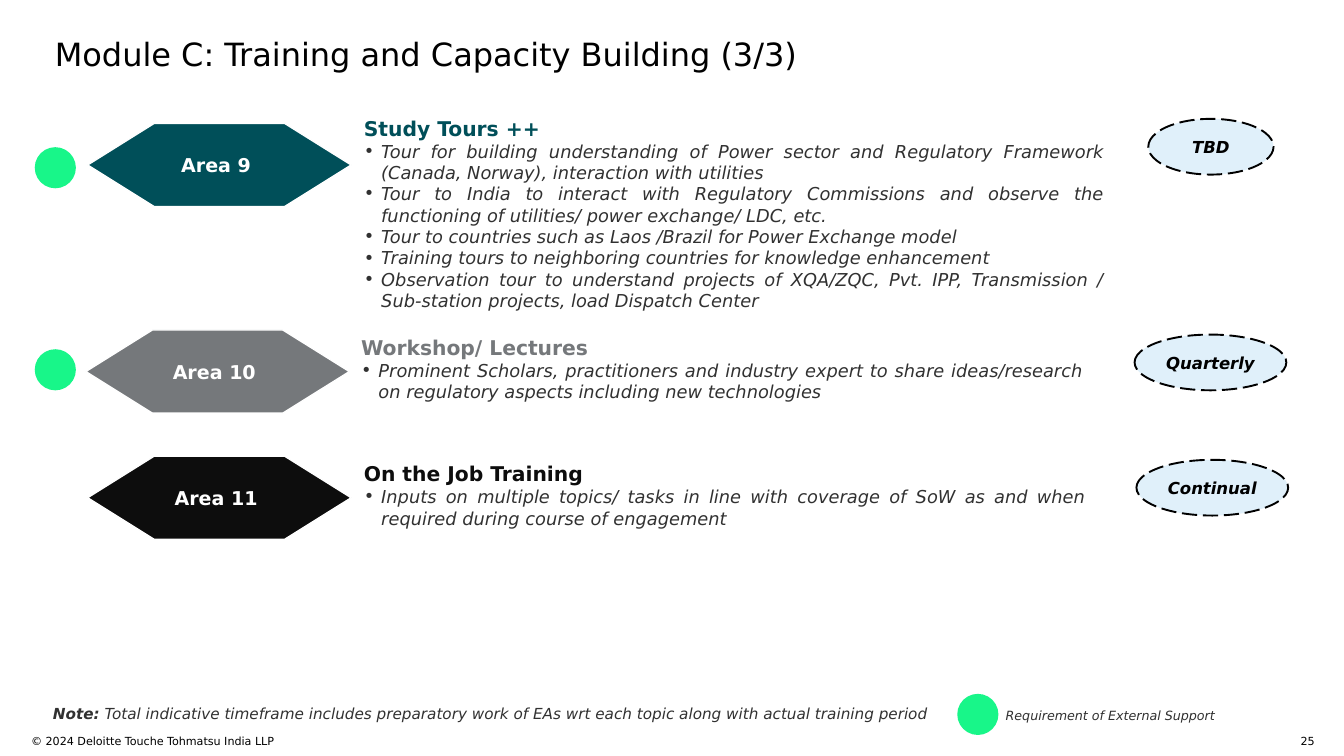
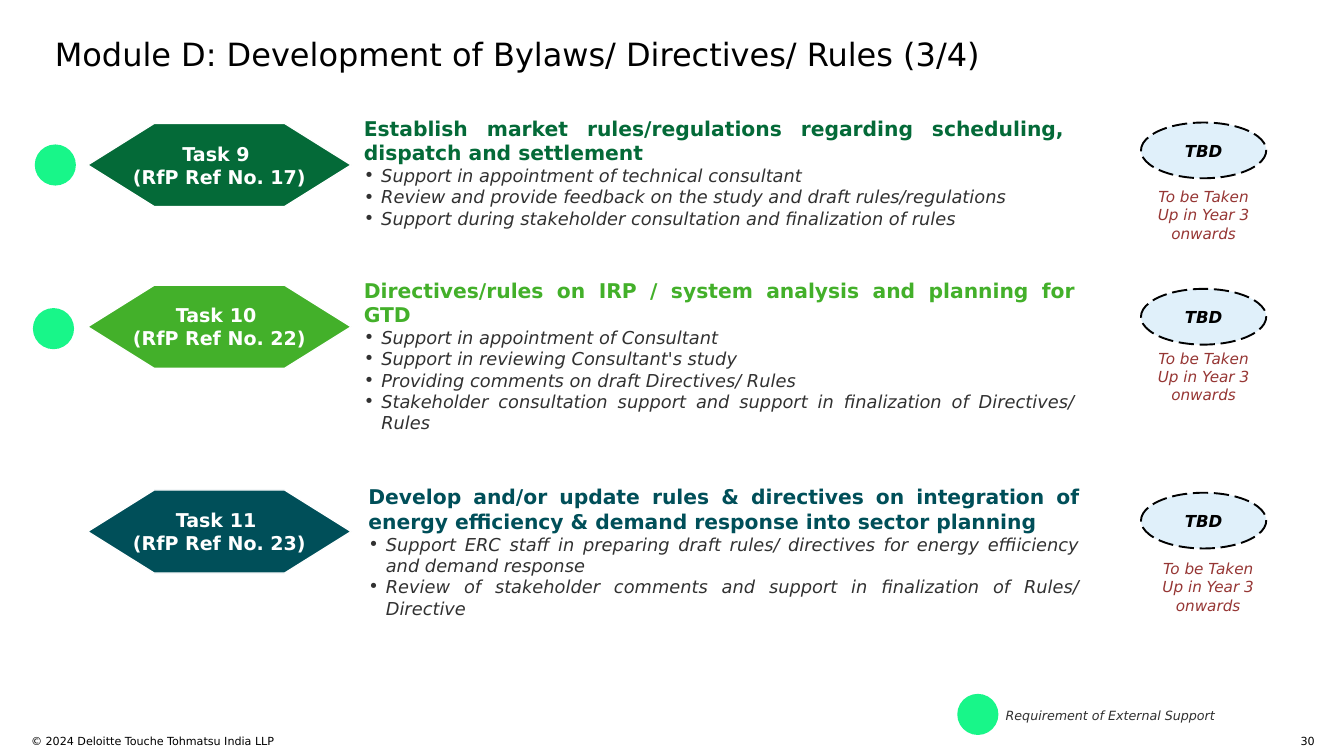
from dataclasses import dataclass

from lxml.etree import SubElement
from pptx import Presentation
from pptx.dml.color import RGBColor
from pptx.enum.dml import MSO_LINE
from pptx.enum.shapes import MSO_SHAPE
from pptx.enum.text import MSO_ANCHOR, PP_ALIGN
from pptx.oxml.ns import qn
from pptx.util import Inches, Pt


@dataclass(frozen=True)
class Theme:
    font: str = "DejaVu Sans"
    black: str = "000000"
    white: str = "FFFFFF"
    ink: str = "313131"
    teal: str = "004F59"
    gray: str = "75787B"
    near_black: str = "0D0D0D"
    forest: str = "046A38"
    green: str = "43B02A"
    support: str = "18F689"
    badge: str = "E0F0FA"
    warning: str = "963634"
    title_size: float = 25.2
    heading_size: float = 16
    label_size: float = 15
    body_size: float = 14
    badge_size: float = 13
    note_size: float = 12
    legend_size: float = 10
    footer_size: float = 8.8


THEME = Theme()
HEXAGON_SIZE = (2.88, 0.91)
HEXAGON_POINT = 0.8
BADGE_HEIGHT = 0.61
DOT_SIZE = 0.45
DEFERRAL_SIZE = (1.37, 0.71)
DEFERRAL = "To be Taken Up in Year 3 onwards"


@dataclass(frozen=True)
class Topic:
    """One row; places are (left, top) or (left, top, width[, height]) in inches."""
    label: tuple
    color: str
    hexagon: tuple
    heading: str
    points: tuple
    body: tuple
    badge: str
    badge_place: tuple
    support_dot: tuple = None
    deferral: tuple = None


TRAINING = (
    Topic(("Area 9 ",), THEME.teal, (0.96, 1.35), "Study Tours ++",
          ("Tour for building understanding of Power sector and Regulatory Framework "
           "(Canada, Norway), interaction with utilities",
           "Tour to India to interact with Regulatory Commissions and observe the "
           "functioning of utilities/ power exchange/ LDC, etc.",
           "Tour to countries such as Laos /Brazil for Power Exchange model",
           "Training tours to neighboring countries for knowledge enhancement",
           "Observation tour to understand projects of XQA/ZQC, Pvt. IPP, "
           "Transmission / Sub-station projects, load Dispatch Center"),
          (3.98, 1.27, 8.1, 2.15), "TBD", (12.56, 1.3, 1.37), (0.38, 1.61)),
    Topic(("Area 10 ",), THEME.gray, (0.94, 3.61), "Workshop/ Lectures",
          ("Prominent Scholars, practitioners and industry expert to share "
           "ideas/research on regulatory aspects including new technologies",),
          (3.95, 3.67, 7.9, 0.74), "Quarterly", (12.41, 3.66, 1.66), (0.38, 3.82)),
    Topic(("Area 11 ",), THEME.near_black, (0.96, 4.99), "On the Job Training",
          ("Inputs on multiple topics/ tasks in line with coverage of SoW as and "
           "when required during course of engagement",),
          (3.98, 5.05, 7.9, 0.74), "Continual", (12.43, 5.03, 1.66)),
)

BYLAWS = (
    Topic(("Task 9 ", "(RfP Ref No. 17)"), THEME.forest, (0.96, 1.35),
          "Establish market rules/regulations regarding scheduling, "
          "dispatch and settlement",
          ("Support in appointment of technical consultant",
           "Review and provide feedback on the study and draft rules/regulations",
           "Support during stakeholder consultation and finalization of rules"),
          (3.98, 1.27, 7.66, 1.25), "TBD", (12.48, 1.34, 1.37), (0.38, 1.58),
          (12.48, 2)),
    Topic(("Task 10 ", "(RfP Ref No. 22)"), THEME.green, (0.96, 3.12),
          "Directives/rules on IRP / system analysis and planning for GTD",
          ("Support in appointment of Consultant",
           "Support in reviewing Consultant's study",
           "Providing comments on draft Directives/ Rules",
           "Stakeholder consultation support and support in finalization of "
           "Directives/ Rules"),
          (3.98, 3.04, 7.78, 1.72), "TBD", (12.48, 3.16, 1.37), (0.36, 3.37),
          (12.48, 3.77)),
    Topic(("Task 11 ", "(RfP Ref No. 23)"), THEME.teal, (0.96, 5.36),
          "Develop and/or update rules & directives on integration of energy "
          "efficiency & demand response into sector planning",
          ("Support ERC staff in preparing draft rules/ directives for energy "
           "effiiciency and demand response",
           "Review of stakeholder comments and support in finalization of Rules/ "
           "Directive"),
          (4.03, 5.3, 7.78, 1.48), "TBD", (12.48, 5.39, 1.37),
          deferral=(12.53, 6.07)),
)


def add_run(paragraph, text, size, color, bold=False, italic=False):
    run = paragraph.add_run()
    run.text = text
    font = run.font
    font.name, font.size = THEME.font, Pt(size)
    font.bold, font.italic = bold, italic
    font.color.rgb = RGBColor.from_string(color)


def write(frame, text, *, size, color=THEME.black, bold=False, italic=False,
          align=PP_ALIGN.LEFT, bullet=False, spacing=None, lead=None):
    """Fill the frame's empty first paragraph or append one; lead is a bold opening."""
    paragraph = frame.paragraphs[0]
    if paragraph.runs:
        paragraph = frame.add_paragraph()
    paragraph.alignment = align
    if spacing:
        paragraph.line_spacing = spacing
    if bullet:
        properties = paragraph._p.get_or_add_pPr()
        properties.set("marL", str(Inches(0.19)))
        properties.set("indent", str(Inches(-0.19)))
        SubElement(properties, qn("a:buFont")).set("typeface", THEME.font)
        SubElement(properties, qn("a:buChar")).set("char", "•")
    if lead:
        add_run(paragraph, lead, size, color, True, italic)
    add_run(paragraph, text, size, color, bold, italic)


def add_text_frame(slide, left, top, width, height, inset=(0, 0)):
    box = slide.shapes.add_textbox(*map(Inches, (left, top, width, height)))
    frame = box.text_frame
    frame.word_wrap = True
    frame.margin_left = frame.margin_right = Inches(inset[0])
    frame.margin_top = frame.margin_bottom = Inches(inset[1])
    return frame


def add_filled_shape(slide, preset, left, top, width, height, color):
    shape = slide.shapes.add_shape(preset, *map(Inches, (left, top, width, height)))
    shape.shadow.inherit = False
    shape.fill.solid()
    shape.fill.fore_color.rgb = RGBColor.from_string(color)
    shape.line.fill.background()
    shape.text_frame.word_wrap = False
    shape.text_frame.vertical_anchor = MSO_ANCHOR.MIDDLE
    return shape


def outline(shape, color, width):
    shape.line.color.rgb = RGBColor.from_string(color)
    shape.line.width = Pt(width)


def add_support_dot(slide, left, top):
    add_filled_shape(slide, MSO_SHAPE.OVAL, left, top, DOT_SIZE, DOT_SIZE,
                     THEME.support)


def add_hexagon(slide, topic):
    hexagon = add_filled_shape(slide, MSO_SHAPE.HEXAGON, *topic.hexagon,
                               *HEXAGON_SIZE, topic.color)
    hexagon.adjustments[0] = HEXAGON_POINT
    outline(hexagon, THEME.white, 1)
    for line in topic.label:
        write(hexagon.text_frame, line, size=THEME.label_size, color=THEME.white,
              bold=True, align=PP_ALIGN.CENTER)


def add_body(slide, topic):
    frame = add_text_frame(slide, *topic.body)
    write(frame, topic.heading, size=THEME.heading_size, color=topic.color,
          bold=True, align=PP_ALIGN.JUSTIFY)
    for point in topic.points:
        write(frame, point, size=THEME.body_size, color=THEME.ink, italic=True,
              align=PP_ALIGN.JUSTIFY, bullet=True)


def add_badge(slide, topic):
    badge = add_filled_shape(slide, MSO_SHAPE.OVAL, *topic.badge_place,
                             BADGE_HEIGHT, THEME.badge)
    outline(badge, THEME.black, 1.5)
    badge.line.dash_style = MSO_LINE.LONG_DASH
    write(badge.text_frame, topic.badge, size=THEME.badge_size, bold=True,
          italic=True, align=PP_ALIGN.CENTER, spacing=1.06)


def add_topic(slide, topic):
    add_body(slide, topic)
    add_hexagon(slide, topic)
    add_badge(slide, topic)
    if topic.support_dot:
        add_support_dot(slide, *topic.support_dot)
    if topic.deferral:
        frame = add_text_frame(slide, *topic.deferral, *DEFERRAL_SIZE, (0.1, 0.05))
        write(frame, DEFERRAL, size=THEME.note_size, color=THEME.warning,
              italic=True, align=PP_ALIGN.CENTER)


def add_legend(slide):
    add_support_dot(slide, 10.47, 7.59)
    write(add_text_frame(slide, 11, 7.74, 2.84, 0.17),
          "Requirement of External Support", size=THEME.legend_size,
          color=THEME.ink, italic=True)


def add_footer(slide, number):
    write(add_text_frame(slide, 0.34, 8.03, 6.46, 0.24),
          "© 2024 Deloitte Touche Tohmatsu India LLP", size=THEME.footer_size)
    write(add_text_frame(slide, 14.01, 8.03, 0.37, 0.12), str(number),
          size=THEME.footer_size, align=PP_ALIGN.RIGHT)


def add_topic_slide(deck, title, number, topics):
    slide = deck.slides.add_slide(deck.slide_layouts[6])
    write(add_text_frame(slide, 0.6, 0.38, 13.46, 0.4), title,
          size=THEME.title_size)
    for topic in topics:
        add_topic(slide, topic)
    add_legend(slide)
    add_footer(slide, number)
    return slide


def main():
    deck = Presentation()
    deck.slide_width, deck.slide_height = Inches(14.7), Inches(8.27)
    training = add_topic_slide(
        deck, "Module C: Training and Capacity Building (3/3)", 25, TRAINING)
    write(add_text_frame(training, 0.48, 7.66, 9.9, 0.3, (0.1, 0.05)),
          " Total indicative timeframe includes preparatory work of EAs wrt each "
          "topic along with actual training period",
          size=THEME.note_size, color=THEME.ink, italic=True, lead="Note:")
    add_topic_slide(
        deck, "Module D: Development of Bylaws/ Directives/ Rules (3/4)", 30, BYLAWS)
    deck.save("out.pptx")


if __name__ == "__main__":
    main()
